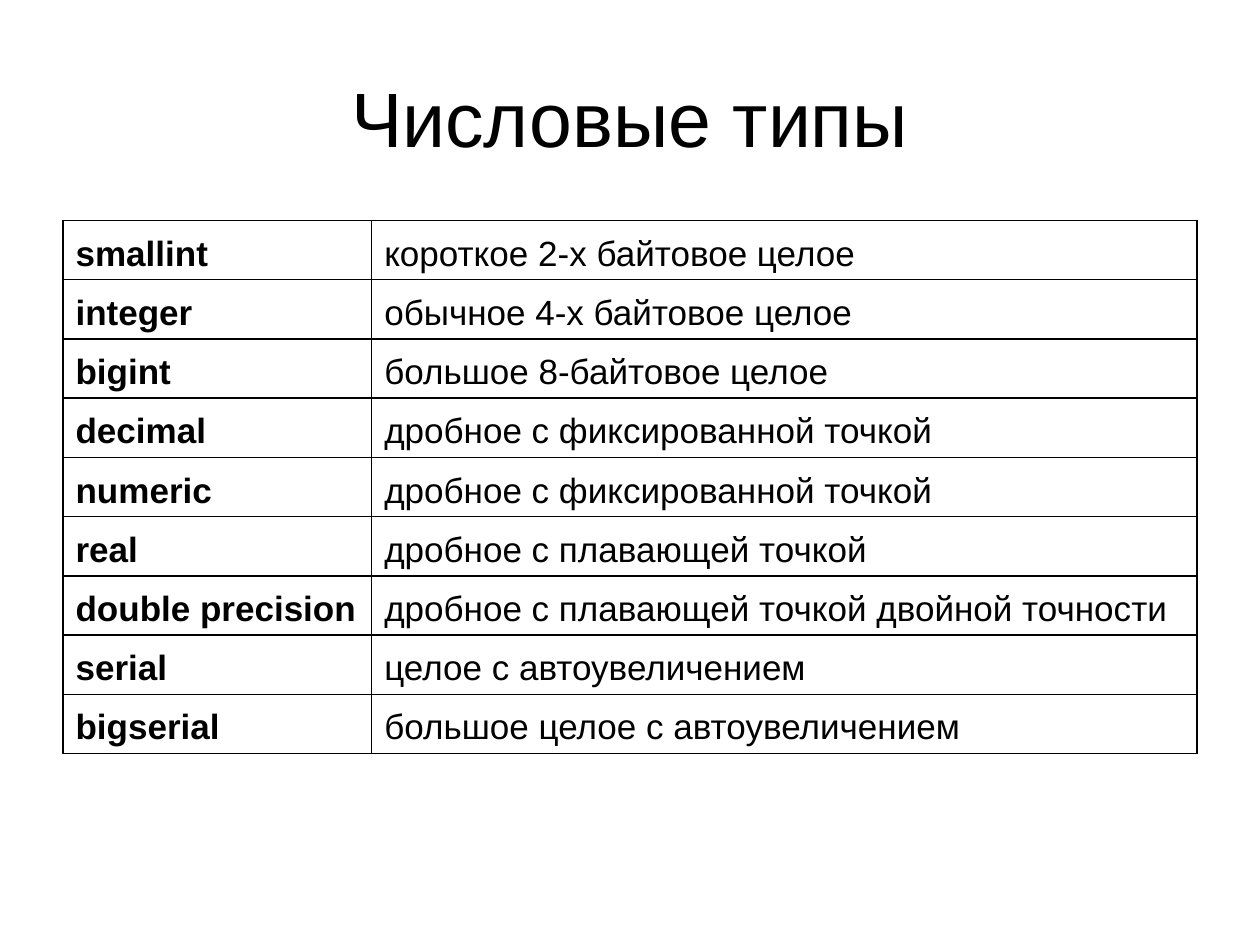
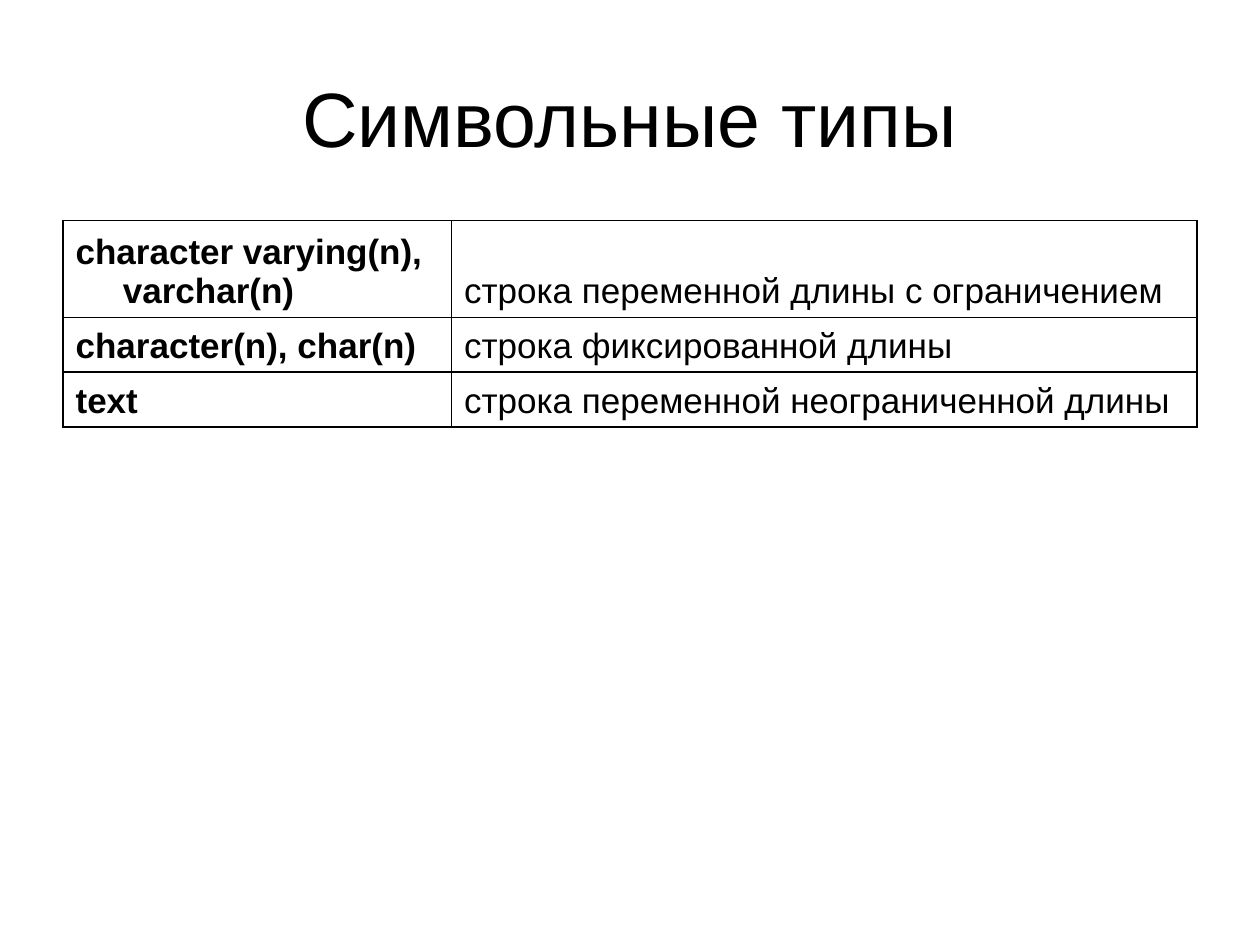
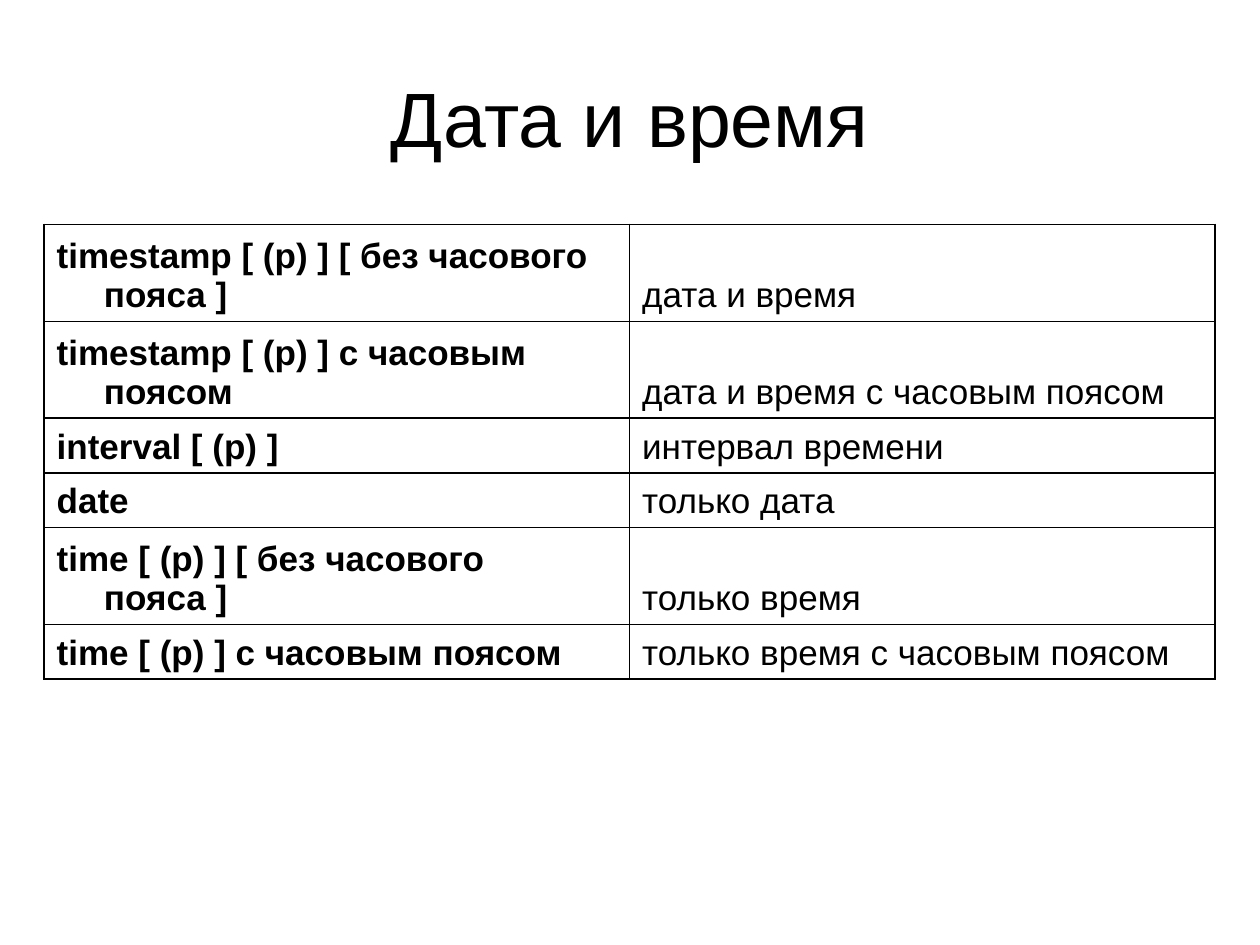
from dataclasses import dataclass

from lxml import etree
from pptx import Presentation
from pptx.dml.color import RGBColor
from pptx.enum.text import MSO_ANCHOR, PP_ALIGN
from pptx.oxml.ns import qn
from pptx.util import Pt

CENTER = PP_ALIGN.CENTER
MIDDLE = MSO_ANCHOR.MIDDLE
BOTTOM = MSO_ANCHOR.BOTTOM
BLANK_LAYOUT = 6


@dataclass(frozen=True)
class Theme:
    font: str = "Arial"
    ink: str = "000000"
    title_size: int = 44
    cell_size: int = 20
    border_width: int = 1
    hanging_indent: int = 27


ROW = 31
TALL_ROW = 55.4

NUMERIC_TYPES = [
    ("smallint", "короткое 2-х байтовое целое"),
    ("integer", "обычное 4-х байтовое целое"),
    ("bigint", "большое 8-байтовое целое"),
    ("decimal", "дробное с фиксированной точкой"),
    ("numeric", "дробное с фиксированной точкой"),
    ("real", "дробное с плавающей точкой"),
    ("double precision", "дробное с плавающей точкой двойной точности"),
    ("serial", "целое с автоувеличением"),
    ("bigserial", "большое целое с автоувеличением"),
]
CHARACTER_TYPES = [
    ("character varying(n), varchar(n)", "строка переменной длины с ограничением"),
    ("character(n), char(n)", "строка фиксированной длины"),
    ("text", "строка переменной неограниченной длины"),
]
DATE_TYPES = [
    ("timestamp [ (p) ] [ без часового пояса ]", "дата и время"),
    ("timestamp [ (p) ] с часовым поясом", "дата и время с часовым поясом"),
    ("interval [ (p) ]", "интервал времени"),
    ("date", "только дата"),
    ("time [ (p) ] [ без часового пояса ]", "только время"),
    ("time [ (p) ] с часовым поясом", "только время с часовым поясом"),
]


class DeckBuilder:
    def __init__(self, theme):
        self.theme = theme
        self.deck = Presentation()
        self.deck.slide_width = Pt(720)
        self.deck.slide_height = Pt(540)
        self.page = None

    def add_page(self, title):
        self.page = self.deck.slides.add_slide(self.deck.slide_layouts[BLANK_LAYOUT])
        self.add_title(title)

    def style_text(self, paragraph, size, bold=False):
        for span in paragraph.runs:
            span.font.name = self.theme.font
            span.font.size = Pt(size)
            span.font.bold = bold
            span.font.color.rgb = RGBColor.from_string(self.theme.ink)

    def add_title(self, text):
        box = self.page.shapes.add_textbox(Pt(36), Pt(21.6), Pt(648), Pt(90))
        frame = box.text_frame
        frame.word_wrap = True
        frame.vertical_anchor = MIDDLE
        frame.text = text
        frame.paragraphs[0].alignment = CENTER
        self.style_text(frame.paragraphs[0], self.theme.title_size)

    def add_type_table(self, left, top, column_widths, row_heights, entries):
        """Add a bordered table of type names (bold) and their descriptions."""
        table = self.page.shapes.add_table(
            len(entries), len(column_widths), Pt(left), Pt(top),
            Pt(sum(column_widths)), Pt(sum(row_heights))).table
        table.first_row = False
        table.horz_banding = False
        for column, width in zip(table.columns, column_widths):
            column.width = Pt(width)
        for row, height, entry in zip(table.rows, row_heights, entries):
            row.height = Pt(height)
            for index, (cell, text) in enumerate(zip(row.cells, entry)):
                self.fill_cell(cell, text, bold=index == 0)

    def fill_cell(self, cell, text, bold):
        cell.text_frame.text = text
        cell.vertical_anchor = BOTTOM
        paragraph = cell.text_frame.paragraphs[0]
        properties = paragraph._p.get_or_add_pPr()
        indent = Pt(self.theme.hanging_indent)
        properties.set("marL", str(indent))
        properties.set("indent", str(-indent))
        self.style_text(paragraph, self.theme.cell_size, bold)
        self.add_borders(cell)
        cell.fill.background()

    def add_borders(self, cell):
        properties = cell._tc.get_or_add_tcPr()
        for side in ("a:lnL", "a:lnR", "a:lnT", "a:lnB"):
            line = etree.SubElement(properties, qn(side), w=str(Pt(self.theme.border_width)))
            fill = etree.SubElement(line, qn("a:solidFill"))
            etree.SubElement(fill, qn("a:srgbClr"), val=self.theme.ink)


def main():
    builder = DeckBuilder(Theme())

    builder.add_page("Числовые типы")
    builder.add_type_table(36, 126, [176.4, 471.6],
                           [33.87] * len(NUMERIC_TYPES), NUMERIC_TYPES)

    builder.add_page("Символьные типы")
    builder.add_type_table(36, 126, [222, 426], [TALL_ROW, ROW, ROW], CHARACTER_TYPES)

    builder.add_page("Дата и время")
    builder.add_type_table(25.2, 128.2, [334.6] * 2,
                           [TALL_ROW, TALL_ROW, ROW, ROW, ROW, ROW], DATE_TYPES)

    builder.deck.save("out.pptx")


if __name__ == "__main__":
    main()
